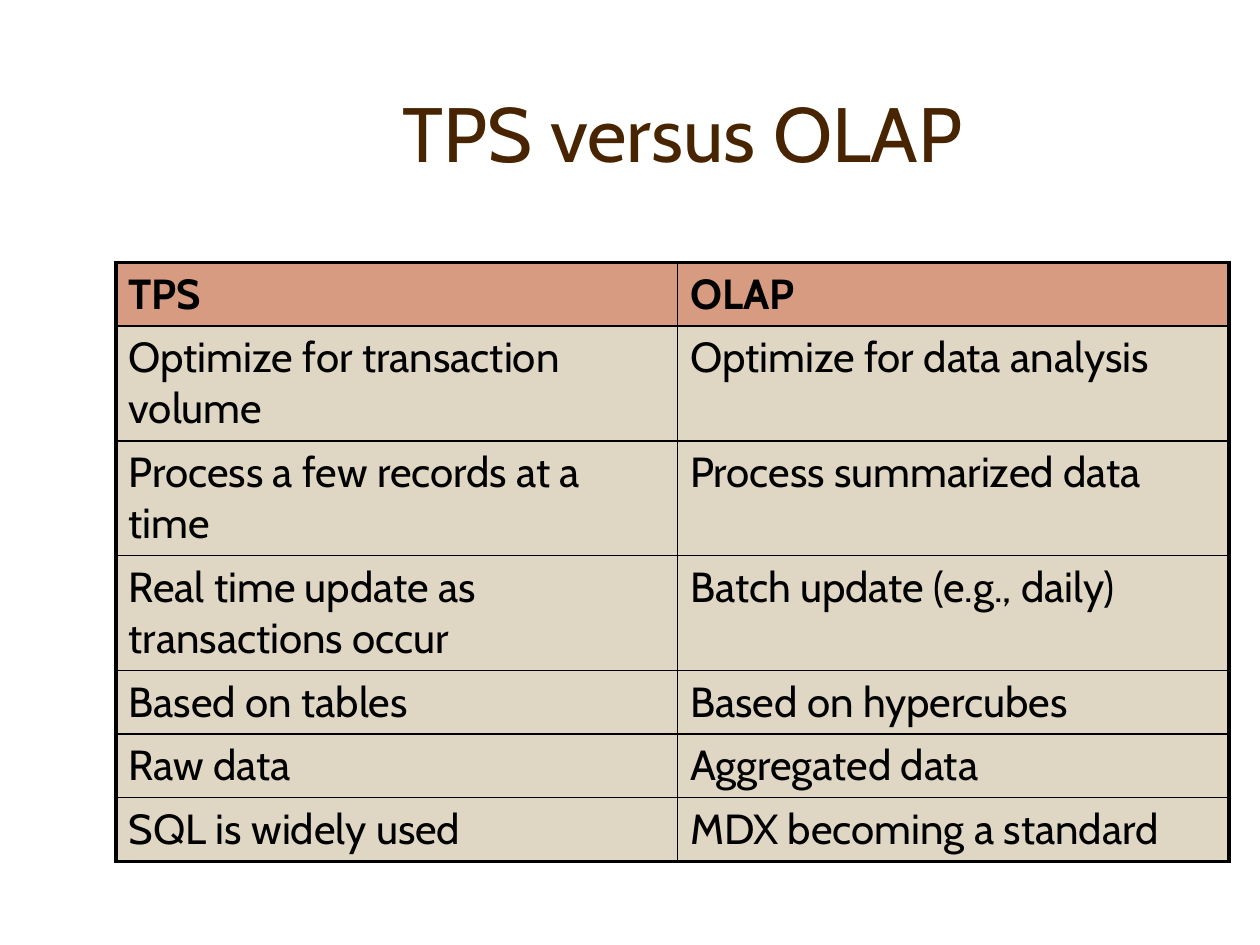
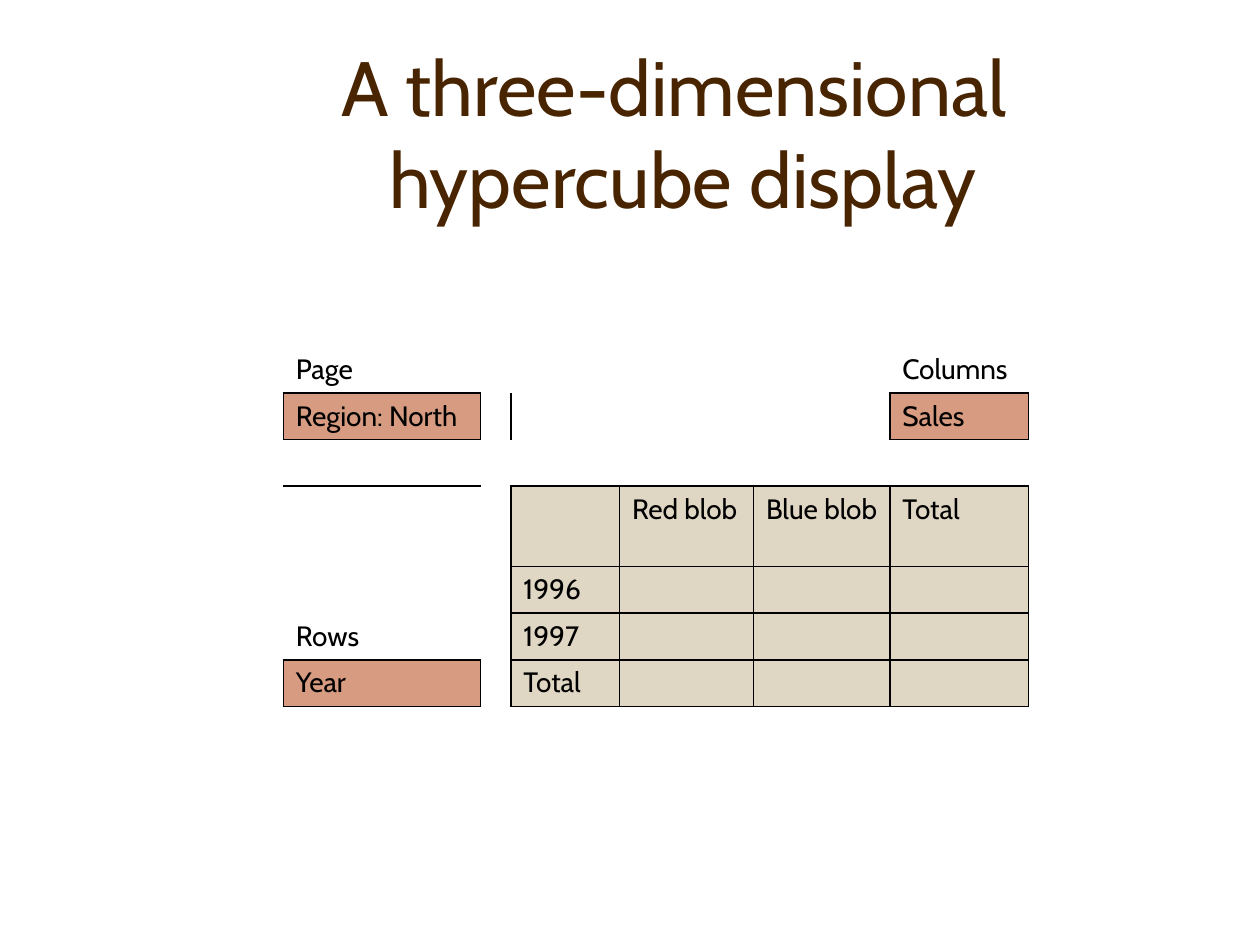
from lxml import etree
from pptx import Presentation
from pptx import util as u
from pptx.dml.color import RGBColor
from pptx.enum import text
from pptx.oxml import ns

FONT = "Cabin"
BROWN = RGBColor(0x48, 0x24, 0x00)
BLACK = RGBColor(0x00, 0x00, 0x00)
TERRACOTTA = RGBColor(0xD6, 0x9B, 0x80)
SAND = RGBColor(0xDF, 0xD6, 0xC3)

FILLS = {"h": TERRACOTTA, "b": SAND}
PLAIN_STYLE = "{2D5ABB26-0587-4C30-8999-92F81FD0307C}"
EDGES = {"lnL": (0, -1), "lnR": (0, 1), "lnT": (-1, 0), "lnB": (1, 0)}
INNER_LINE = 1

COMPARISON = [
    ["TPS", "OLAP"],
    ["Optimize for transaction volume", "Optimize for data analysis"],
    ["Process a few records at a time", "Process summarized data"],
    ["Real time update as transactions occur", "Batch update (e.g., daily)"],
    ["Based on tables", "Based on hypercubes"],
    ["Raw data", "Aggregated data"],
    ["SQL is widely used", "MDX becoming a standard"],
]
COMPARISON_FILLS = ["hh"] + ["bb"] * 6

HYPERCUBE = [
    ["Page", "", "", "", "", "Columns"],
    ["Region: North", "", "", "", "", "Sales"],
    ["", "", "", "", "", ""],
    ["", "", "", "Red blob", "Blue blob", "Total"],
    ["", "", "1996", "", "", ""],
    ["Rows", "", "1997", "", "", ""],
    ["Year", "", "Total", "", "", ""],
]
HYPERCUBE_FILLS = ["......", "h....h", "......", "..bbbb", "..bbbb", "..bbbb", "h.bbbb"]


def set_format(target, values):
    for name, value in values.items():
        setattr(target, name, value)


def style_text(para, size, color, bold=False):
    for span in para.runs:
        set_format(span.font, {"name": FONT, "size": u.Pt(size), "bold": bold})
        span.font.color.rgb = color


def add_titled_page(deck, title):
    page = deck.slides.add_slide(deck.slide_layouts[5])
    box = page.shapes.title
    set_format(box, {"left": u.Cm(2.97), "top": u.Cm(1.07),
                     "width": u.Cm(21.59), "height": u.Cm(3.17)})
    frame = box.text_frame
    set_format(frame, {"auto_size": text.MSO_AUTO_SIZE.NONE, "word_wrap": True,
                       "vertical_anchor": text.MSO_ANCHOR.MIDDLE})
    para = frame.paragraphs[0]
    para.text = title
    para.alignment = text.PP_ALIGN.CENTER
    style_text(para, 44, BROWN)
    return page


def add_edge(cell, edge, points):
    line = etree.SubElement(cell._tc.get_or_add_tcPr(), ns.qn(f"a:{edge}"),
                            w=str(u.Pt(points)))
    solid = etree.SubElement(line, ns.qn("a:solidFill"))
    etree.SubElement(solid, ns.qn("a:srgbClr"), val=str(BLACK))


def add_edges(cell, row, col, fills, outer_line):
    """Draw each side that touches a filled cell, with its own width on the rim."""
    for edge, (down, right) in EDGES.items():
        next_row, next_col = row + down, col + right
        inside = 0 <= next_row < len(fills) and 0 <= next_col < len(fills[0])
        neighbour = fills[next_row][next_col] if inside else "."
        if fills[row][col] in FILLS or neighbour in FILLS:
            add_edge(cell, edge, INNER_LINE if inside else outer_line)


def fill_cell(cell, wording, size, color, bold):
    if color is None:
        cell.fill.background()
    else:
        cell.fill.solid()
        cell.fill.fore_color.rgb = color
    para = cell.text_frame.paragraphs[0]
    if wording:
        para.text = wording
        style_text(para, size, BLACK, bold)
    else:
        end = etree.SubElement(para._p, ns.qn("a:endParaRPr"), sz=str(size * 100))
        etree.SubElement(end, ns.qn("a:latin"), typeface=FONT)


def add_grid(page, corner, widths, heights, rows, fills, size,
             outer_line=INNER_LINE, bold_header=False):
    left, top = corner
    frame = page.shapes.add_table(len(heights), len(widths), u.Cm(left), u.Cm(top),
                                  u.Cm(sum(widths)), u.Cm(sum(heights)))
    table = frame.table
    set_format(table, {"first_row": False, "horz_banding": False})
    table._tbl.tblPr.find(ns.qn("a:tableStyleId")).text = PLAIN_STYLE
    for column, width in zip(table.columns, widths):
        column.width = u.Cm(width)
    for line, height in zip(table.rows, heights):
        line.height = u.Cm(height)
    for row, wordings in enumerate(rows):
        for col, wording in enumerate(wordings):
            cell = table.cell(row, col)
            add_edges(cell, row, col, fills, outer_line)
            fill_cell(cell, wording, size, FILLS.get(fills[row][col]),
                      bold_header and row == 0)


def main():
    deck = Presentation()
    set_format(deck, {"slide_width": u.Cm(25.4), "slide_height": u.Cm(19.05)})

    page = add_titled_page(deck, "TPS versus OLAP")
    add_grid(page, (2.34, 5.29), [11.32, 11.12], [1.28] + [2.31] * 3 + [1.28] * 3,
             COMPARISON, COMPARISON_FILLS, 24, outer_line=2.25, bold_header=True)

    page = add_titled_page(deck, "A three-dimensional \vhypercube display")
    add_grid(page, (5.71, 6.98), [3.98, 0.6, 2.19, 2.7, 2.75, 2.8],
             [0.94] * 3 + [1.62] + [0.94] * 3, HYPERCUBE, HYPERCUBE_FILLS, 16)

    deck.save("out.pptx")


if __name__ == "__main__":
    main()
